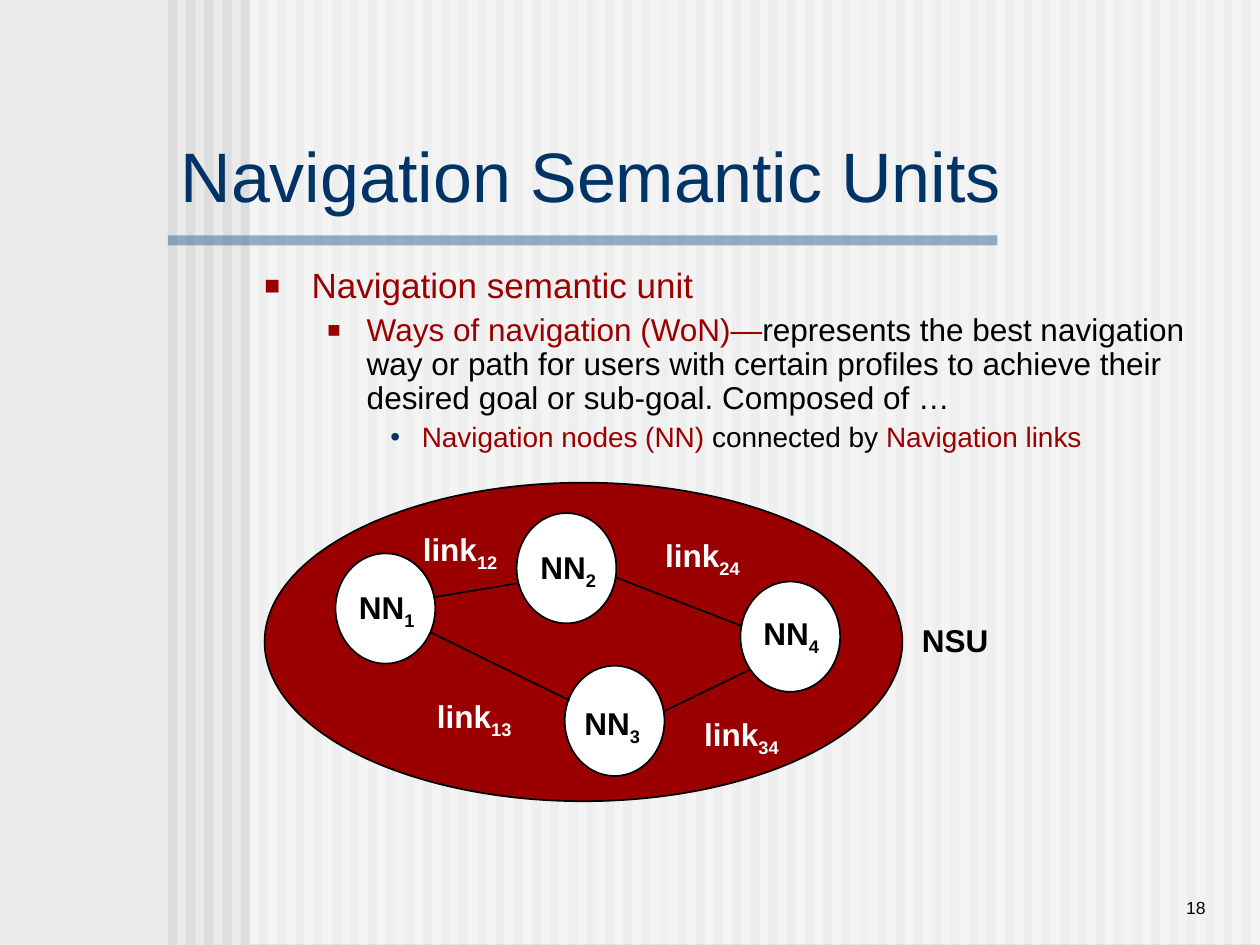
from lxml import etree
from pptx import Presentation
from pptx import util as u
from pptx.dml.color import RGBColor
from pptx.enum import shapes, text
from pptx.oxml.ns import qn

COLORS = {"page": "EAEAEA", "stripe": "DDDDDD", "white": "FFFFFF", "rule": "336699",
          "navy": "003366", "red": "9A0000", "black": "000000"}
FONT = "Arial"
TITLE = "Navigation Semantic Units"
PAGE_NUMBER = "18"

# size, text indent, bullet hang, space before, bullet (char, colour, percent), runs
BODY = [
    (20, 27, 27, 0, ("■", "red", 75), [("Navigation semantic unit", "red")]),
    (18, 58.5, 22.5, 4.5, ("■", "red", 70), [
        ("Ways of navigation (WoN)—", "red"),
        ("represents the best navigation way or path for users with certain profiles "
         "to achieve their desired goal or sub-goal. Composed of …", "black")]),
    (16, 90, 18, 4, ("•", "navy", 100), [
        ("Navigation nodes (NN)", "red"), (" connected by ", "black"),
        ("Navigation links", "red")]),
]

NODE_SIZE = (57, 63)
NODES = [(191.7, 316.2), (295.2, 293.2), (322.7, 380.4), (423.1, 332.3)]
LINKS = [(247.7, 341.3, 295.2, 333.4), (246.2, 361.4, 325.4, 400.3),
         (351.4, 329.8, 424.1, 357.8), (380.2, 406.1, 427.7, 383)]

# text, subscript, colour, left, top, width, height
LABELS = [
    ("NN", "1", "black", 198, 332.9, 46, 29.4),
    ("NN", "2", "black", 301.7, 310, 46, 29.4),
    ("NN", "4", "black", 429.1, 347.8, 46, 29.4),
    ("NN", "3", "black", 326.9, 398.9, 46, 29.4),
    ("link", "13", "white", 242.6, 395.3, 57, 29.4),
    ("link", "12", "white", 234.5, 299.5, 57, 29.4),
    ("link", "34", "white", 395.3, 405.4, 57, 29.4),
    ("link", "24", "white", 373, 303.1, 57, 29.4),
    ("NSU", "", "black", 519.8, 353.5, 52.5, 26.6),
]


def rgb(name):
    return RGBColor.from_string(COLORS[name])


def points(*values):
    return [u.Pt(value) for value in values]


def add_filled(slide, kind, area, color, outline=None, alpha=None):
    shape = slide.shapes.add_shape(kind, *points(*area))
    shape.shadow.inherit = False
    shape.fill.solid()
    shape.fill.fore_color.rgb = rgb(color)
    if alpha:
        tint = shape.element.spPr.find(qn("a:solidFill"))[0]
        etree.SubElement(tint, qn("a:alpha"), val=str(alpha * 1000))
    if outline:
        shape.line.color.rgb = rgb(outline)
        shape.line.width = u.Pt(1)
    else:
        shape.line.fill.background()


def add_box(slide, area, wrap=True):
    box = slide.shapes.add_textbox(*points(*area))
    box.text_frame.word_wrap = wrap
    return box.text_frame


def set_font(font, size, color, bold=False):
    font.name = FONT
    font.size = u.Pt(size)
    font.bold = bold
    font.color.rgb = rgb(color)


def set_bullet(para, indent, hang, char, color, percent):
    props = para._p.get_or_add_pPr()
    props.set("marL", str(u.Pt(indent)))
    props.set("indent", str(-u.Pt(hang)))
    tint = etree.SubElement(props, qn("a:buClr"))
    etree.SubElement(tint, qn("a:srgbClr"), val=COLORS[color])
    etree.SubElement(props, qn("a:buSzPct"), val=str(percent * 1000))
    etree.SubElement(props, qn("a:buFont"), typeface=FONT)
    etree.SubElement(props, qn("a:buChar"), char=char)


def add_backdrop(slide):
    slide.background.fill.solid()
    slide.background.fill.fore_color.rgb = rgb("page")
    rect = shapes.MSO_SHAPE.RECTANGLE
    for i in range(60):
        add_filled(slide, rect, (96 + 10.4 * i, 0, 5.2, 540), "stripe")
    add_filled(slide, rect, (142.5, 0, 577.5, 539.5), "white", alpha=50)
    add_filled(slide, rect, (96, 134.5, 474, 5.7), "rule", alpha=50)


def add_title(slide):
    title = slide.shapes.title
    title.element.getparent().append(title.element)  # in front of the backdrop
    title.left, title.top, title.width, title.height = points(96, 78, 528, 49.5)
    frame = title.text_frame
    frame.text = TITLE
    frame.word_wrap = True
    frame.auto_size = text.MSO_AUTO_SIZE.NONE
    frame.vertical_anchor = text.MSO_ANCHOR.BOTTOM
    para = frame.paragraphs[0]
    para.alignment = text.PP_ALIGN.LEFT
    set_font(para.font, 40, "navy")


def add_body(slide):
    frame = add_box(slide, (144, 150, 546, 144))
    for level, (size, indent, hang, before, bullet, runs) in enumerate(BODY):
        para = frame.add_paragraph() if level else frame.paragraphs[0]
        para.level = level
        para.line_spacing = 0.9
        para.space_before = u.Pt(before)
        set_bullet(para, indent, hang, *bullet)
        for words, color in runs:
            span = para.add_run()
            span.text = words
            set_font(span.font, size, color)


def add_diagram(slide):
    oval = shapes.MSO_SHAPE.OVAL
    add_filled(slide, oval, (151.2, 275.8, 364.4, 182), "red", "black")
    for corner in NODES:
        add_filled(slide, oval, corner + NODE_SIZE, "white", "black")
    for ends in LINKS:
        link = slide.shapes.add_connector(shapes.MSO_CONNECTOR.STRAIGHT, *points(*ends))
        link.line.color.rgb = rgb("black")
        link.line.width = u.Pt(1)
        etree.SubElement(link.element.spPr, qn("a:effectLst"))
    for words, subscript, color, *area in LABELS:
        frame = add_box(slide, area, wrap=False)
        frame.auto_size = text.MSO_AUTO_SIZE.SHAPE_TO_FIT_TEXT
        para = frame.paragraphs[0]
        para.line_spacing = 0.9
        set_font(para.font, 18, color, bold=True)
        para.add_run().text = words
        if subscript:
            span = para.add_run()
            span.text = subscript
            span._r.get_or_add_rPr().set("baseline", "-25000")


def add_page_number(slide):
    frame = add_box(slide, (594, 492, 102, 36))
    frame.vertical_anchor = text.MSO_ANCHOR.BOTTOM
    para = frame.paragraphs[0]
    para.text = PAGE_NUMBER
    para.alignment = text.PP_ALIGN.RIGHT
    set_font(para.font, 10, "black")


def main():
    deck = Presentation()
    deck.slide_width, deck.slide_height = points(720, 540)
    slide = deck.slides.add_slide(deck.slide_layouts.get_by_name("Title Only"))
    add_backdrop(slide)
    add_title(slide)
    add_body(slide)
    add_diagram(slide)
    add_page_number(slide)
    deck.save("out.pptx")


if __name__ == "__main__":
    main()
